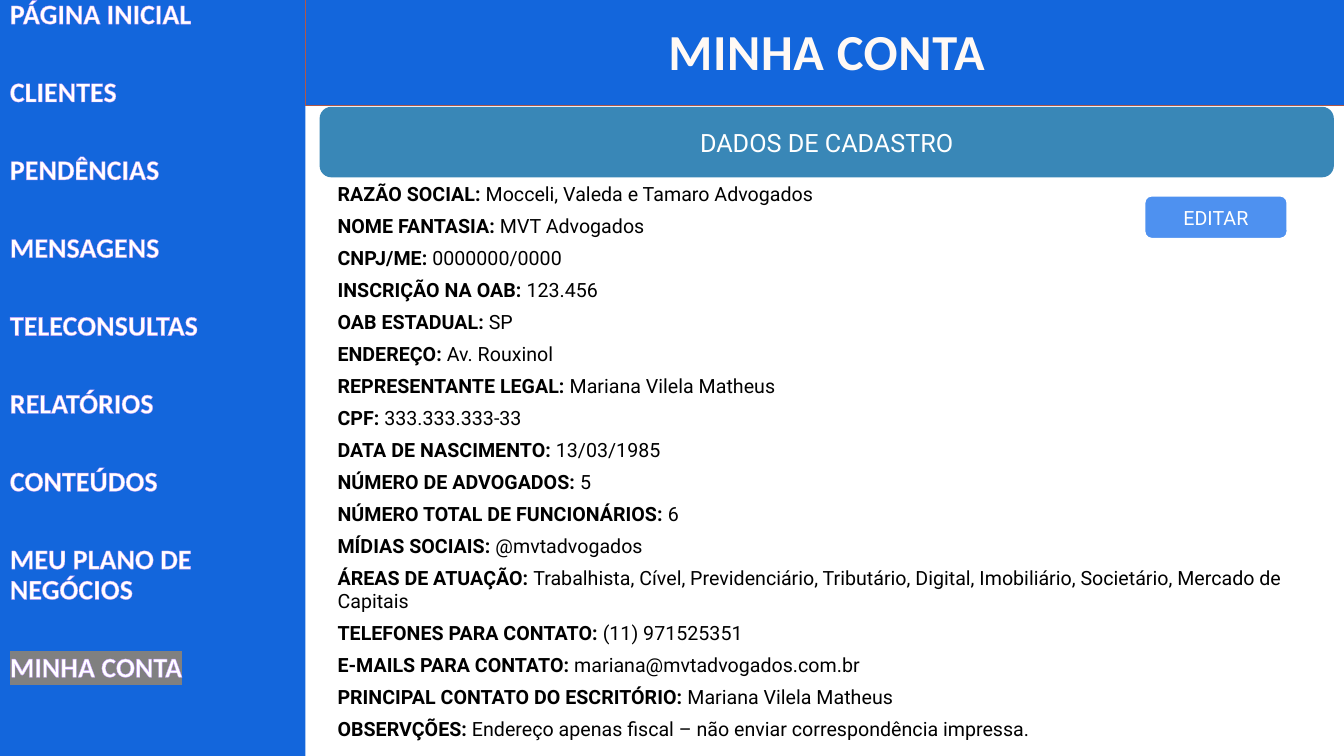
from lxml.etree import SubElement, Element
from pptx import Presentation
from pptx.dml.color import RGBColor
from pptx.enum.shapes import MSO_SHAPE
from pptx.enum.text import MSO_ANCHOR, PP_ALIGN
from pptx.oxml.ns import qn
from pptx.util import Inches, Pt

BLUE = RGBColor(0x13, 0x66, 0xDC)
TEAL = RGBColor(0x39, 0x87, 0xB7)
LIGHT_BLUE = RGBColor(0x4E, 0x91, 0xF0)
RUST = RGBColor(0xB0, 0x57, 0x48)
LILAC = RGBColor(0xC0, 0x97, 0xF8)
GRAY = RGBColor(0x80, 0x80, 0x80)
CREAM = RGBColor(0xFF, 0xF9, 0xF5)
WHITE = RGBColor(0xFF, 0xFF, 0xFF)
BLACK = RGBColor(0x00, 0x00, 0x00)

MENU_FONT = {"name": "Calibri", "size": Pt(20), "bold": True, "color": WHITE}
TITLE_FONT = {"name": "Calibri", "size": Pt(36), "bold": True, "color": CREAM}
SECTION_FONT = {"name": "Roboto", "size": Pt(18), "color": WHITE}
BUTTON_FONT = {"name": "Roboto", "size": Pt(14), "color": WHITE}
VALUE_FONT = {"name": "Roboto", "size": Pt(14), "bold": False, "color": BLACK}
LABEL_FONT = {**VALUE_FONT, "bold": True}

MENU_SPACING = {"line_spacing": 0.9, "space_before": Pt(10),
                "space_after": Pt(24), "alignment": PP_ALIGN.LEFT}
RECORD_SPACING = {"space_after": Pt(6)}

MENU = ["PÁGINA INICIAL", "CLIENTES", "PENDÊNCIAS", "MENSAGENS", "TELECONSULTAS",
        "RELATÓRIOS", "CONTEÚDOS", "MEU PLANO DE NEGÓCIOS", "MINHA CONTA"]
CURRENT_PAGE = "MINHA CONTA"

RECORDS = [
    ("RAZÃO SOCIAL:", "Mocceli, Valeda e Tamaro Advogados"),
    ("NOME FANTASIA:", "MVT Advogados"),
    ("CNPJ/ME:", "0000000/0000"),
    ("INSCRIÇÃO NA OAB:", "123.456"),
    ("OAB ESTADUAL:", "SP"),
    ("ENDEREÇO:", "Av. Rouxinol"),
    ("REPRESENTANTE LEGAL:", "Mariana Vilela Matheus"),
    ("CPF:", "333.333.333-33"),
    ("DATA DE NASCIMENTO:", "13/03/1985"),
    ("NÚMERO DE ADVOGADOS:", "5"),
    ("NÚMERO TOTAL DE FUNCIONÁRIOS:", "6"),
    ("MÍDIAS SOCIAIS:", "@mvtadvogados"),
    ("ÁREAS DE ATUAÇÃO:", "Trabalhista, Cível, Previdenciário, Tributário, Digital, "
                          "Imobiliário, Societário, Mercado de Capitais"),
    ("TELEFONES PARA CONTATO:", "(11) 971525351"),
    ("E-MAILS PARA CONTATO:", "mariana@mvtadvogados.com.br"),
    ("PRINCIPAL CONTATO DO ESCRITÓRIO:", "Mariana Vilela Matheus"),
    ("OBSERVÇÕES:", "Endereço apenas fiscal – não enviar correspondência impressa."),
]


def set_attributes(target, values):
    for name, value in values.items():
        setattr(target, name, value)


def add_run(paragraph, text, font):
    run = paragraph.add_run()
    run.text = text
    set_attributes(run.font, {name: value for name, value in font.items() if name != "color"})
    run.font.color.rgb = font["color"]
    return run


def add_paragraphs(text_frame, count, spacing):
    paragraphs = [text_frame.paragraphs[0]]
    paragraphs += [text_frame.add_paragraph() for _ in range(count - 1)]
    for paragraph in paragraphs:
        set_attributes(paragraph, spacing)
    return paragraphs


def add_block(slide, kind, box, fill, line=None, line_width=1):
    shape = slide.shapes.add_shape(kind, *map(Inches, box))
    shape.shadow.inherit = False
    shape.fill.solid()
    shape.fill.fore_color.rgb = fill
    if line is None:
        shape.line.fill.background()
    else:
        shape.line.color.rgb = line
        shape.line.width = Pt(line_width)
    set_attributes(shape.text_frame, {"word_wrap": True, "vertical_anchor": MSO_ANCHOR.MIDDLE})
    return shape


def add_label(shape, text, font):
    paragraph = shape.text_frame.paragraphs[0]
    paragraph.alignment = PP_ALIGN.CENTER
    return add_run(paragraph, text, font)


def outline_text(run, color, width):
    outline = Element(qn("a:ln"), w=str(Pt(width)))
    fill = SubElement(outline, qn("a:solidFill"))
    SubElement(fill, qn("a:srgbClr"), val=str(color))
    run.font._element.insert(0, outline)


def highlight_text(run, color):
    highlight = Element(qn("a:highlight"))
    SubElement(highlight, qn("a:srgbClr"), val=str(color))
    run.font._element.find(qn("a:solidFill")).addnext(highlight)


def add_menu(slide, box):
    sidebar = add_block(slide, MSO_SHAPE.RECTANGLE, box, BLUE)
    text_frame = sidebar.text_frame
    text_frame.vertical_anchor = MSO_ANCHOR.TOP
    for paragraph, item in zip(add_paragraphs(text_frame, len(MENU), MENU_SPACING), MENU):
        run = add_run(paragraph, item, MENU_FONT)
        outline_text(run, LILAC, 0.8)
        if item == CURRENT_PAGE:
            highlight_text(run, GRAY)


def add_header(slide, box):
    header = add_block(slide, MSO_SHAPE.RECTANGLE, box, BLUE, RUST)
    run = add_label(header, CURRENT_PAGE, TITLE_FONT)
    run.font._element.set("spc", "50")


def add_records(slide, box):
    text_frame = slide.shapes.add_textbox(*map(Inches, box)).text_frame
    text_frame.word_wrap = True
    paragraphs = add_paragraphs(text_frame, len(RECORDS), RECORD_SPACING)
    for paragraph, (label, value) in zip(paragraphs, RECORDS):
        add_run(paragraph, label + " ", LABEL_FONT)
        add_run(paragraph, value, VALUE_FONT)


def add_account(slide, box):
    left, top, width, height = box
    banner_height = 0.7
    banner = add_block(slide, MSO_SHAPE.ROUNDED_RECTANGLE,
                       (left, top, width, banner_height), TEAL)
    add_label(banner, "DADOS DE CADASTRO", SECTION_FONT)
    add_records(slide, (left + 0.08, top + banner_height, width - 0.02, height - banner_height))
    button = add_block(slide, MSO_SHAPE.ROUNDED_RECTANGLE,
                       (left + 8.18, top + 0.88, 1.42, 0.43), LIGHT_BLUE, WHITE, 1.5)
    add_label(button, "EDITAR", BUTTON_FONT)


presentation = Presentation()
presentation.slide_width = Inches(13.33)
presentation.slide_height = Inches(7.5)
account_slide = presentation.slides.add_slide(presentation.slide_layouts[6])
add_menu(account_slide, (0, -0.05, 3.03, 7.55))
add_header(account_slide, (3.03, -0.05, 10.34, 1.1))
add_account(account_slide, (3.17, 1.06, 10.06, 6.78))
presentation.save("out.pptx")
